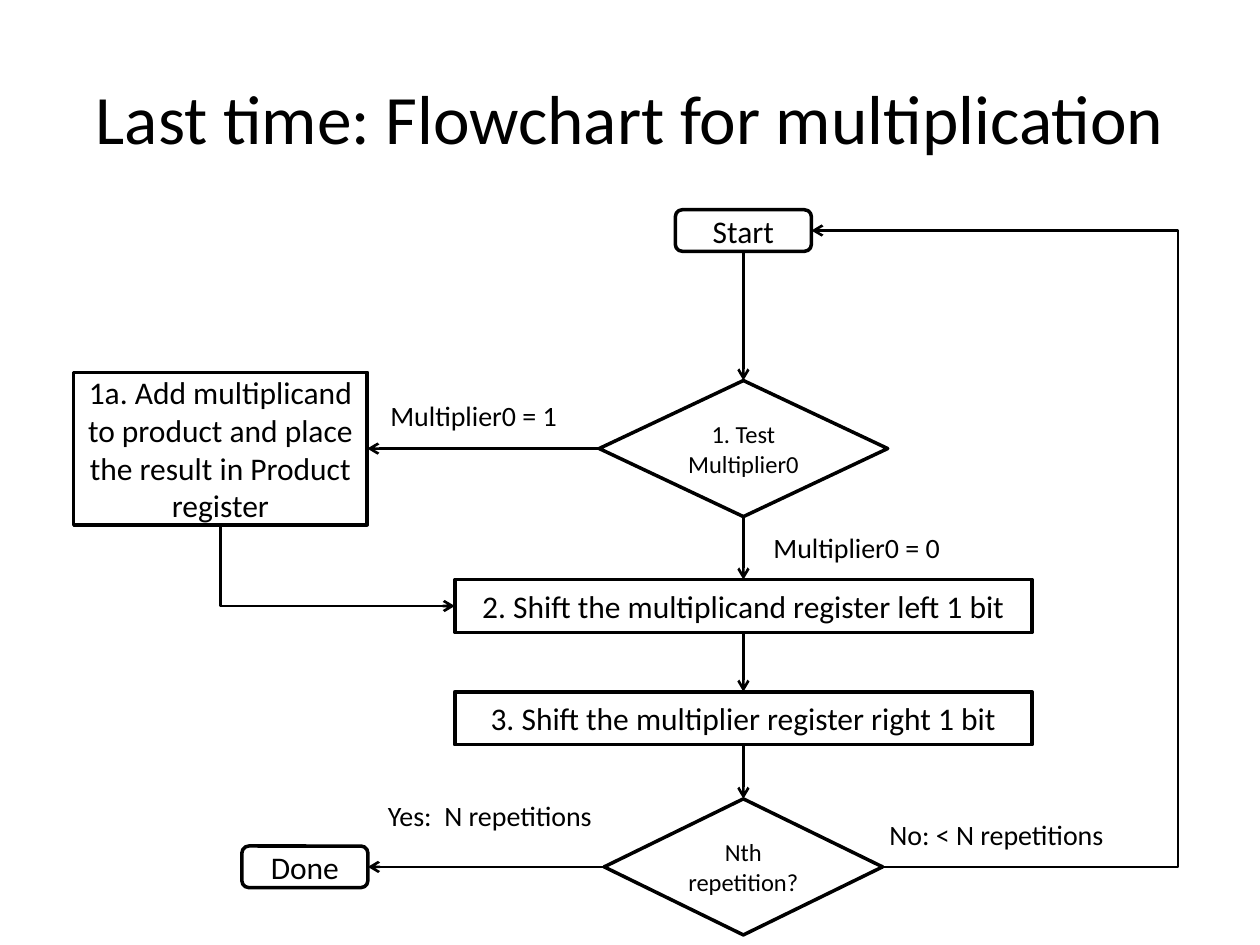
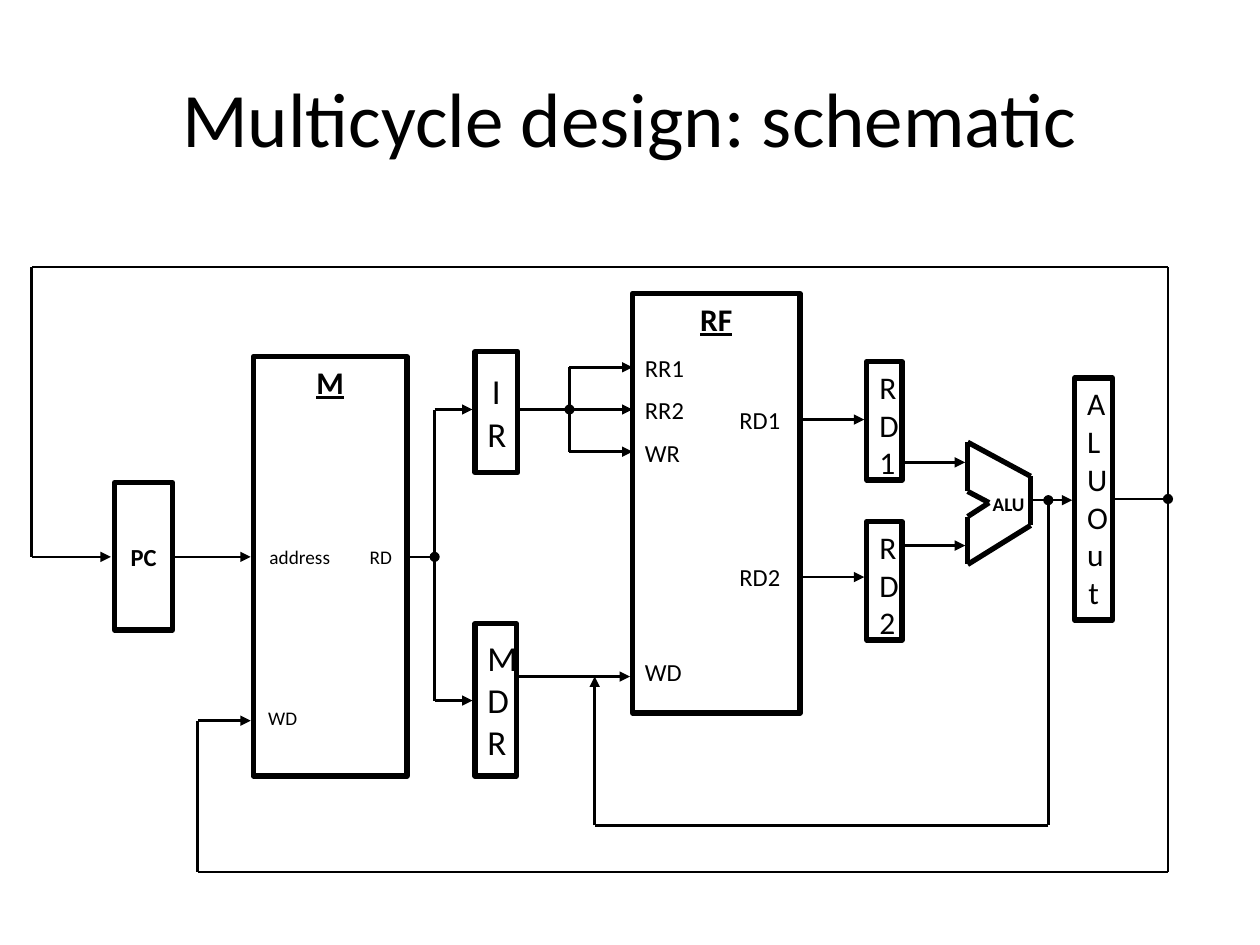
from itertools import pairwise

from lxml import etree
from pptx import Presentation
from pptx.dml.color import RGBColor
from pptx.enum.shapes import MSO_CONNECTOR, MSO_SHAPE
from pptx.enum.text import MSO_ANCHOR, PP_ALIGN
from pptx.oxml.ns import qn
from pptx.util import Inches, Pt

STRAIGHT, ELBOW = MSO_CONNECTOR.STRAIGHT, MSO_CONNECTOR.ELBOW
RECT, DOT = MSO_SHAPE.RECTANGLE, MSO_SHAPE.OVAL
PROCESS = MSO_SHAPE.FLOWCHART_PROCESS
DECISION = MSO_SHAPE.FLOWCHART_DECISION
TERMINAL = MSO_SHAPE.FLOWCHART_ALTERNATE_PROCESS
LEFT, CENTER, RIGHT = PP_ALIGN.LEFT, PP_ALIGN.CENTER, PP_ALIGN.RIGHT
TOP, MIDDLE = MSO_ANCHOR.TOP, MSO_ANCHOR.MIDDLE

WIDTH, HEIGHT = 10, 7.5
FONT = "Calibri"
COLOURS = {"ink": "000000", "paper": "FFFFFF"}
WIRE, FRAME, BLOCK = 1.5, 2, 3  # line widths in points
LABEL_HEIGHT = 0.33

# ---- Content: flowchart ----
SPINE, TEST_ROW, LAST_ROW, LOOP_X = 5.9, 3.56, 6.88, 9.35
# name: preset, centre x, centre y, width, height, text size, text
STEPS = {
    "start": (TERMINAL, SPINE, 1.83, 1.08, 0.33, 18, "Start"),
    "test": (DECISION, SPINE, TEST_ROW, 2.29, 1.08, 14, "1. Test Multiplier0"),
    "add": (PROCESS, 1.75, TEST_ROW, 2.33, 1.21, 18,
            "1a. Add multiplicand to product and place the result in Product register"),
    "shift left": (PROCESS, SPINE, 4.81, 4.58, 0.42, 18,
                   "2. Shift the multiplicand register left 1 bit"),
    "shift right": (PROCESS, SPINE, 5.7, 4.58, 0.42, 18,
                    "3. Shift the multiplier register right 1 bit"),
    "repeat": (DECISION, SPINE, LAST_ROW, 2.21, 1.08, 14, "Nth repetition?"),
    "done": (TERMINAL, 2.42, LAST_ROW, 1, 0.33, 18, "Done"),
}
FLOWS = [  # from step, side, to step, side
    ("start", "bottom", "test", "top"),
    ("test", "left", "add", "right"),
    ("test", "bottom", "shift left", "top"),
    ("shift left", "bottom", "shift right", "top"),
    ("shift right", "bottom", "repeat", "top"),
    ("repeat", "left", "done", "right"),
]
ANSWERS = [  # left, top, text
    (3, 3.13, "Multiplier0 = 1"),
    (6.04, 4.18, "Multiplier0 = 0"),
    (2.98, 6.31, "Yes:  N repetitions"),
    (6.96, 6.46, "No: < N repetitions"),
]

# ---- Content: schematic ----
PC_ROW, IR_ROW, MDR_ROW, WD_ROW, ALU_ROW = 4.42, 3.25, 5.56, 5.37, 3.97
PORT_GAP = 0.335
BUS_LEFT, BUS_RIGHT, BUS_TOP, BUS_BOTTOM = 0.25, 9.27, 2.12, 6.92
FORK, IR_FORK, ALU_FORK = 3.45, 4.52, 8.32
MEMORY_WD, RETURN_X, RETURN_Y = 5.72, 4.72, 6.55
# box, text lines, text size, anchor, heading style (bold, underline)
BLOCKS = [
    ((0.91, 3.83, 0.46, 1.17), ["PC"], 14, MIDDLE, (True, False)),
    ((2.01, 2.83, 1.22, 3.33), ["M"], 18, TOP, (True, True)),
    ((5.02, 2.33, 1.33, 3.33), ["RF"], 18, TOP, (True, True)),
    ((3.77, 2.79, 0.34, 0.96), "IR", 20, MIDDLE, (False, False)),
    ((3.77, 4.95, 0.33, 1.21), "MDR", 20, MIDDLE, (False, False)),
    ((6.88, 2.87, 0.28, 0.94), "RD1", 18, TOP, (False, False)),
    ((6.88, 4.14, 0.28, 0.94), "RD2", 18, TOP, (False, False)),
    ((8.53, 3, 0.3, 1.92), "ALUOut", 18, TOP, (False, False)),
]
PORTS = [  # left, centre y, width, text, size, alignment
    (5.02, 2.92, 0.58, "RR1", 14, LEFT),
    (5.02, 3.25, 0.58, "RR2", 14, LEFT),
    (5.02, 3.59, 0.58, "WR", 14, LEFT),
    (5.02, 5.33, 0.58, "WD", 14, LEFT),
    (5.77, 3.33, 0.58, "RD1", 14, LEFT),
    (5.77, 4.58, 0.58, "RD2", 14, LEFT),
    (2.04, PC_ROW, 0.76, "address", 11, LEFT),
    (2.8, PC_ROW, 0.41, "RD", 11, RIGHT),
    (2.03, 5.7, 0.5, "WD", 11, LEFT),
]
ARROWS = [  # corner points, head at the last
    [(BUS_RIGHT, BUS_TOP), (BUS_LEFT, BUS_TOP), (BUS_LEFT, PC_ROW), (0.88, PC_ROW)],
    [(BUS_RIGHT, BUS_TOP), (BUS_RIGHT, BUS_BOTTOM), (1.57, BUS_BOTTOM),
     (1.57, MEMORY_WD), (1.99, MEMORY_WD)],
    [(1.36, PC_ROW), (1.99, PC_ROW)],
    [(FORK, MDR_ROW), (3.75, MDR_ROW)],
    [(FORK, IR_ROW), (3.75, IR_ROW)],
    [(4.12, IR_ROW), (5.02, IR_ROW)],
    [(IR_FORK, IR_ROW - PORT_GAP), (5.02, IR_ROW - PORT_GAP)],
    [(IR_FORK, IR_ROW + PORT_GAP), (5.02, IR_ROW + PORT_GAP)],
    [(4.11, WD_ROW), (5, WD_ROW)],
    [(6.36, 3.33), (6.86, 3.33)],
    [(6.36, 4.58), (6.86, 4.58)],
    [(7.16, 3.67), (7.66, 3.67)],
    [(7.16, 4.33), (7.66, 4.33)],
    [(8.18, ALU_ROW), (8.51, ALU_ROW)],
    [(ALU_FORK, ALU_ROW), (ALU_FORK, RETURN_Y), (RETURN_X, RETURN_Y), (RETURN_X, WD_ROW)],
]
PLAIN_WIRES = [
    [(3.25, PC_ROW), (FORK, PC_ROW)],
    [(FORK, IR_ROW), (FORK, MDR_ROW)],
    [(IR_FORK, IR_ROW - PORT_GAP), (IR_FORK, IR_ROW + PORT_GAP)],
    [(8.85, 3.96), (BUS_RIGHT, 3.96)],
]
JUNCTIONS = [(FORK, PC_ROW), (IR_FORK, IR_ROW), (BUS_RIGHT, 3.96), (ALU_FORK, ALU_ROW)]
DOT_SIZE = 0.07
ALU_OUTLINE = [(8.18, 4.17), (8.18, 3.78), (7.68, 3.51), (7.68, 3.9),
               (7.85, 3.99), (7.68, 4.1), (7.68, 4.48), (8.18, 4.17)]


# ---- Shared drawing ----
def colour(name):
    return RGBColor.from_string(COLOURS[name])


def write(shape, lines, size, align=CENTER, anchor=MIDDLE, bold=False, underline=False):
    frame = shape.text_frame
    frame.word_wrap = True
    frame.vertical_anchor = anchor
    for index, line in enumerate(lines):
        para = frame.add_paragraph() if index else frame.paragraphs[0]
        para.alignment = align
        span = para.add_run()
        span.text = line
        font = span.font
        font.name, font.size = FONT, Pt(size)
        font.bold, font.underline = bold, underline
        font.color.rgb = colour("ink")


def add_label(shapes, box, text, size, **style):
    write(shapes.add_textbox(*map(Inches, box)), [text], size, **style)


def add_box(shapes, preset, box, weight, filled=False):
    shape = shapes.add_shape(preset, *map(Inches, box))
    shape.shadow.inherit = False
    if filled:
        shape.fill.solid()
        shape.fill.fore_color.rgb = colour("ink")
    else:
        shape.fill.background()
    shape.line.color.rgb = colour("ink")
    shape.line.width = Pt(weight)
    return shape


def add_line(shapes, start, end, head=None, weight=WIRE, kind=STRAIGHT):
    line = shapes.add_connector(kind, *map(Inches, (*start, *end)))
    line.line.color.rgb = colour("ink")
    line.line.width = Pt(weight)
    if head:
        etree.SubElement(line.line._get_or_add_ln(), qn("a:tailEnd"), type=head)
    etree.SubElement(line._element.spPr, qn("a:effectLst"))
    return line


def add_wire(shapes, points, head=None, weight=WIRE):
    legs = list(pairwise(points))
    for number, (start, end) in enumerate(legs, 1):
        add_line(shapes, start, end, head if number == len(legs) else None, weight)


def add_page(title, size):
    page = deck.slides.add_slide(deck.slide_layouts[6])
    page.background.fill.solid()
    page.background.fill.fore_color.rgb = colour("paper")
    add_label(page.shapes, (0.05 * WIDTH, 0.04 * HEIGHT, 0.9 * WIDTH, HEIGHT / 6), title, size)
    return page.shapes


# ---- Flowchart helpers ----
def side(step, name):
    _, x, y, width, height, _, _ = STEPS[step]
    across, down = {"left": (-1, 0), "right": (1, 0), "top": (0, -1), "bottom": (0, 1)}[name]
    return x + across * width / 2, y + down * height / 2


def add_loop(shapes, start, end, bend_x):
    """Leave sideways, climb at bend_x, come back sideways."""
    loop = add_line(shapes, start, end, "arrow", kind=ELBOW)
    guides = loop._element.spPr.find(qn("a:prstGeom")).get_or_add_avLst()
    share = round((bend_x - start[0]) / (end[0] - start[0]) * 100000)
    etree.SubElement(guides, qn("a:gd"), name="adj1", fmla=f"val {share}")


def add_corner(shapes, start, end):
    """Go down, then right: a one-bend connector turned by 270 degrees."""
    across, down = end[0] - start[0], end[1] - start[1]
    x, y = (start[0] + end[0]) / 2, (start[1] + end[1]) / 2
    corner = add_line(shapes, (x + down / 2, y - across / 2),
                      (x - down / 2, y + across / 2), "arrow", kind=ELBOW)
    properties = corner._element.spPr
    properties.find(qn("a:prstGeom")).set("prst", "bentConnector2")
    properties.find(qn("a:xfrm")).set("rot", str(270 * 60000))


deck = Presentation()
deck.slide_width, deck.slide_height = Inches(WIDTH), Inches(HEIGHT)

# ---- Slide 1: flowchart ----
shapes = add_page("Last time: Flowchart for multiplication", 39.6)
for preset, x, y, width, height, size, text in STEPS.values():
    box = add_box(shapes, preset, (x - width / 2, y - height / 2, width, height), FRAME)
    write(box, [text], size)
for source, leave, target, enter in FLOWS:
    add_line(shapes, side(source, leave), side(target, enter), "arrow")
add_loop(shapes, side("repeat", "right"), side("start", "right"), LOOP_X)
add_corner(shapes, side("add", "bottom"), side("shift left", "left"))
for left, top, text in ANSWERS:
    add_label(shapes, (left, top, 2.01, LABEL_HEIGHT), text, 16, align=LEFT)

# ---- Slide 2: schematic ----
shapes = add_page("Multicycle design: schematic", 44)
for place, lines, size, anchor, (bold, underline) in BLOCKS:
    write(add_box(shapes, RECT, place, BLOCK), lines, size,
          anchor=anchor, bold=bold, underline=underline)
for left, y, width, text, size, align in PORTS:
    add_label(shapes, (left, y - LABEL_HEIGHT / 2, width, LABEL_HEIGHT), text, size, align=align)
alu = shapes.add_group_shape().shapes
add_wire(alu, ALU_OUTLINE, weight=BLOCK)
add_label(alu, (7.69, 3.92, 0.63, 0.16), "ALU", 11, bold=True)
for points in ARROWS:
    add_wire(shapes, points, "triangle")
for points in PLAIN_WIRES:
    add_wire(shapes, points)
for x, y in JUNCTIONS:
    add_box(shapes, DOT, (x - DOT_SIZE / 2, y - DOT_SIZE / 2, DOT_SIZE, DOT_SIZE), 0.75, True)

deck.save("out.pptx")
